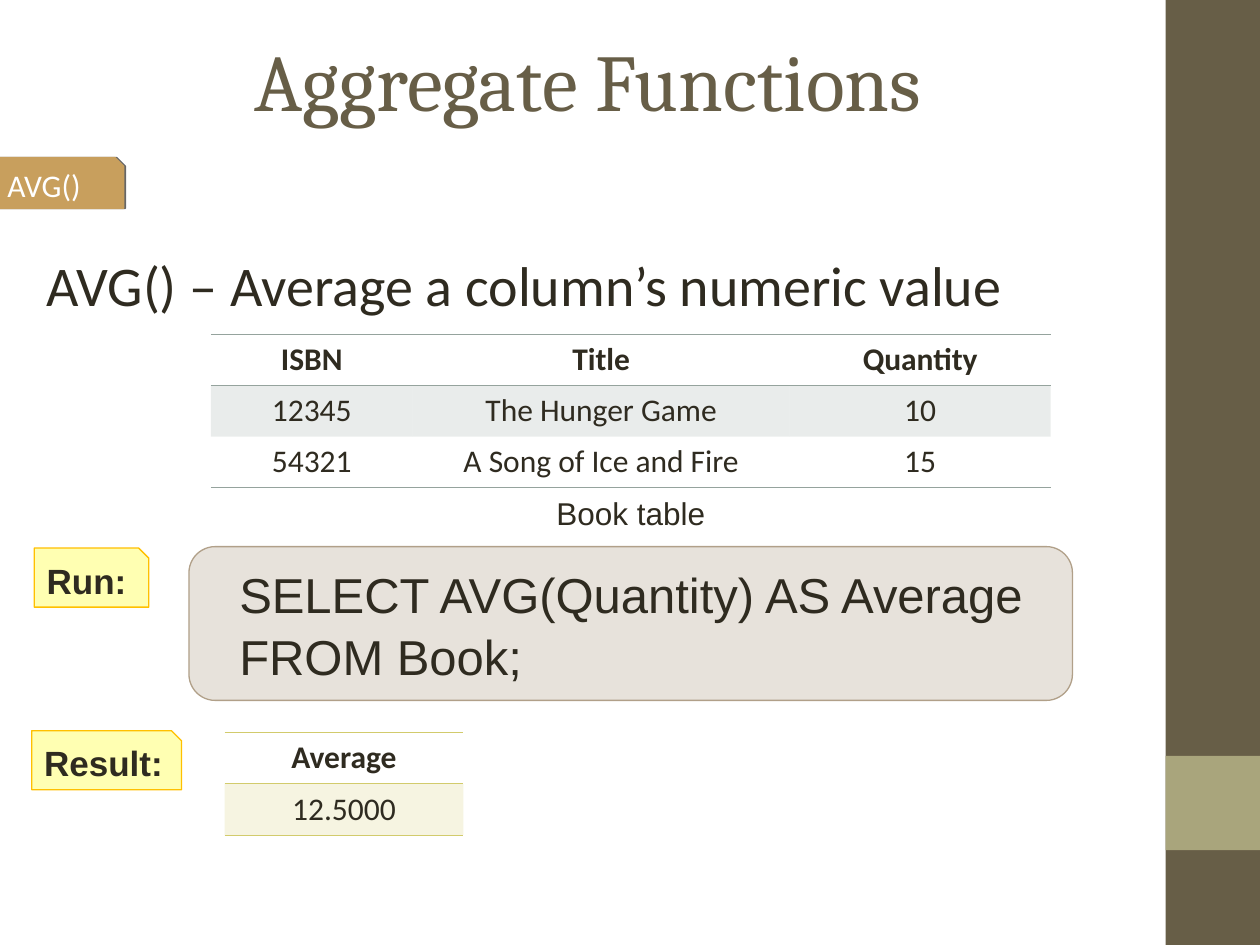
from dataclasses import dataclass
from typing import Any, Optional

import lxml.etree
import pptx
import pptx.dml.color
import pptx.enum.shapes
import pptx.enum.text
import pptx.oxml
import pptx.oxml.ns
import pptx.util

Cm = pptx.util.Cm
Pt = pptx.util.Pt
RGBColor = pptx.dml.color.RGBColor
Shape = pptx.enum.shapes.MSO_SHAPE
Align = pptx.enum.text.PP_ALIGN
Anchor = pptx.enum.text.MSO_ANCHOR
qn = pptx.oxml.ns.qn

BROWN = RGBColor(0x67, 0x5E, 0x47)
OLIVE = RGBColor(0xA9, 0xA5, 0x7C)
TAN = RGBColor(0xC8, 0x9F, 0x5D)
TAUPE = RGBColor(0xB1, 0xA0, 0x89)
INK = RGBColor(0x2F, 0x2B, 0x20)
WHITE = RGBColor(0xFF, 0xFF, 0xFF)
BLACK = RGBColor(0x00, 0x00, 0x00)
YELLOW = RGBColor(0xFF, 0xFF, 0x00)
AMBER = RGBColor(0xFF, 0xC0, 0x00)
SAGE = RGBColor(0x95, 0xA3, 0x9D)
LIME = RGBColor(0xD2, 0xCB, 0x6C)


@dataclass
class Box:
    left: float
    top: float
    width: float
    height: float

    def lengths(self) -> list[Cm]:
        return [Cm(v) for v in (self.left, self.top, self.width, self.height)]


@dataclass
class Label:
    text: str
    size: float
    font: str = "Arial"
    color: RGBColor = INK
    bold: bool = False
    align: Align = Align.LEFT
    anchor: Anchor = Anchor.MIDDLE
    left_inset: float = 0.25
    spacing: float = 1.0


@dataclass
class Panel:
    box: Box
    fill: RGBColor
    kind: Shape = Shape.RECTANGLE
    opacity: int = 100
    line: Optional[RGBColor] = None
    line_width: float = 0.75
    label: Optional[Label] = None


@dataclass
class Grid:
    box: Box
    columns: list[float]
    rows: list[list[str]]
    accent: RGBColor


def apply(target: Any, values: dict[str, Any]) -> None:
    for name, value in values.items():
        setattr(target, name, value)


def set_opacity(parent: Any, percent: int) -> None:
    color = parent.find(qn("a:solidFill")).find(qn("a:srgbClr"))
    lxml.etree.SubElement(color, qn("a:alpha"), val=str(percent * 1000))


def write_paragraph(paragraph: Any, label: Label) -> None:
    apply(paragraph, {"alignment": label.align, "line_spacing": label.spacing})
    span = paragraph.add_run()
    span.text = label.text
    apply(span.font, {"size": Pt(label.size), "name": label.font, "bold": label.bold})
    span.font.color.rgb = label.color


def write_label(shape: Any, label: Label) -> None:
    frame = shape.text_frame
    apply(frame, {
        "word_wrap": True,
        "vertical_anchor": label.anchor,
        "margin_left": Cm(label.left_inset),
        "margin_right": Cm(0.25),
        "margin_top": Cm(0.13),
        "margin_bottom": Cm(0.13),
    })
    write_paragraph(frame.paragraphs[0], label)


def draw_text(page: Any, box: Box, label: Label) -> None:
    write_label(page.shapes.add_textbox(*box.lengths()), label)


def draw_panel(page: Any, panel: Panel) -> Any:
    shape = page.shapes.add_shape(panel.kind, *panel.box.lengths())
    shape.shadow.inherit = False
    shape.fill.solid()
    shape.fill.fore_color.rgb = panel.fill
    if panel.opacity < 100:
        set_opacity(shape._element.spPr, panel.opacity)
    if panel.line is None:
        shape.line.fill.background()
    else:
        shape.line.color.rgb = panel.line
        shape.line.width = Pt(panel.line_width)
    if panel.kind != Shape.RECTANGLE:
        shape.adjustments[0] = 0.17
    if panel.label:
        write_label(shape, panel.label)
    return shape


def add_side_shadow(shape: Any) -> None:
    effects = shape._element.spPr.find(qn("a:effectLst"))
    shadow = lxml.etree.SubElement(
        effects, qn("a:outerShdw"), blurRad="0", dist=str(Pt(1)), dir="0")
    color = lxml.etree.SubElement(shadow, qn("a:srgbClr"), val=str(BLACK))
    lxml.etree.SubElement(color, qn("a:alpha"), val="60000")


def set_borders(cell: Any, color: RGBColor, visible: set[str]) -> None:
    properties = cell._tc.get_or_add_tcPr()
    for side in ("lnL", "lnR", "lnT", "lnB"):
        line = lxml.etree.SubElement(properties, qn(f"a:{side}"), w=str(Pt(0.45)))
        if side in visible:
            fill = lxml.etree.SubElement(line, qn("a:solidFill"))
            lxml.etree.SubElement(fill, qn("a:srgbClr"), val=str(color))
        else:
            lxml.etree.SubElement(line, qn("a:noFill"))


def draw_grid(page: Any, grid: Grid) -> None:
    last = len(grid.rows) - 1
    table = page.shapes.add_table(
        len(grid.rows), len(grid.columns), *grid.box.lengths()).table
    for column, width in zip(table.columns, grid.columns):
        column.width = Cm(width)
    for r, texts in enumerate(grid.rows):
        table.rows[r].height = Cm(grid.box.height / len(grid.rows))
        visible = {"lnT"} if r <= 1 else set()
        if r in (0, last):
            visible.add("lnB")
        for c, text in enumerate(texts):
            cell = table.cell(r, c)
            set_borders(cell, grid.accent, visible)
            if r % 2:
                cell.fill.solid()
                cell.fill.fore_color.rgb = grid.accent
                set_opacity(cell._tc.tcPr, 20)
            else:
                cell.fill.background()
            write_paragraph(cell.text_frame.paragraphs[0], Label(
                text, 18, "Calibri", bold=r == 0, align=Align.CENTER))


def main() -> None:
    deck = pptx.Presentation()
    apply(deck, {"slide_width": Cm(25.4), "slide_height": Cm(19.05)})
    page = deck.slides.add_slide(deck.slide_layouts[6])

    draw_panel(page, Panel(Box(23.5, 0, 1.9, 19.05), BROWN))
    draw_panel(page, Panel(Box(23.5, 15.24, 1.9, 1.9), OLIVE))
    draw_text(page, Box(1.27, 0, 21.16, 3.18), Label(
        "Aggregate Functions", 46, "Cambria", BROWN, align=Align.CENTER))
    add_side_shadow(draw_panel(page, Panel(
        Box(-0.1, 3.18, 2.59, 1.02), TAN, Shape.SNIP_1_RECTANGLE, line=TAN,
        line_width=1, label=Label("AVG()", 18, "Calibri", WHITE))))
    draw_text(page, Box(0.69, 4.93, 24.05, 3), Label(
        "AVG() – Average a column’s numeric value", 32, "Calibri",
        anchor=Anchor.TOP))
    draw_panel(page, Panel(
        Box(3.81, 11.02, 17.81, 3.1), TAUPE, Shape.ROUNDED_RECTANGLE, 30, TAUPE,
        label=Label("SELECT AVG(Quantity) AS Average FROM Book;", 28,
                    left_inset=0.86, spacing=1.05)))
    draw_text(page, Box(9.91, 9.83, 5.61, 1.02), Label(
        "Book table", 18, align=Align.CENTER, anchor=Anchor.TOP))

    for text, box in (("Result:", Box(0.64, 14.73, 3.02, 1.19)),
                      ("Run:", Box(0.69, 11.05, 2.31, 1.19))):
        draw_panel(page, Panel(box, YELLOW, Shape.SNIP_1_RECTANGLE, 30, AMBER,
                               label=Label(text, 20, bold=True)))

    draw_grid(page, Grid(Box(4.25, 6.74, 16.93, 3.09), [4.07, 7.6, 5.26], [
        ["ISBN", "Title", "Quantity"],
        ["12345", "The Hunger Game", "10"],
        ["54321", "A Song of Ice and Fire", "15"],
    ], SAGE))
    draw_grid(page, Grid(Box(4.53, 14.77, 4.81, 2.06), [4.81],
                         [["Average"], ["12.5000"]], LIME))
    deck.save("out.pptx")


if __name__ == "__main__":
    main()
